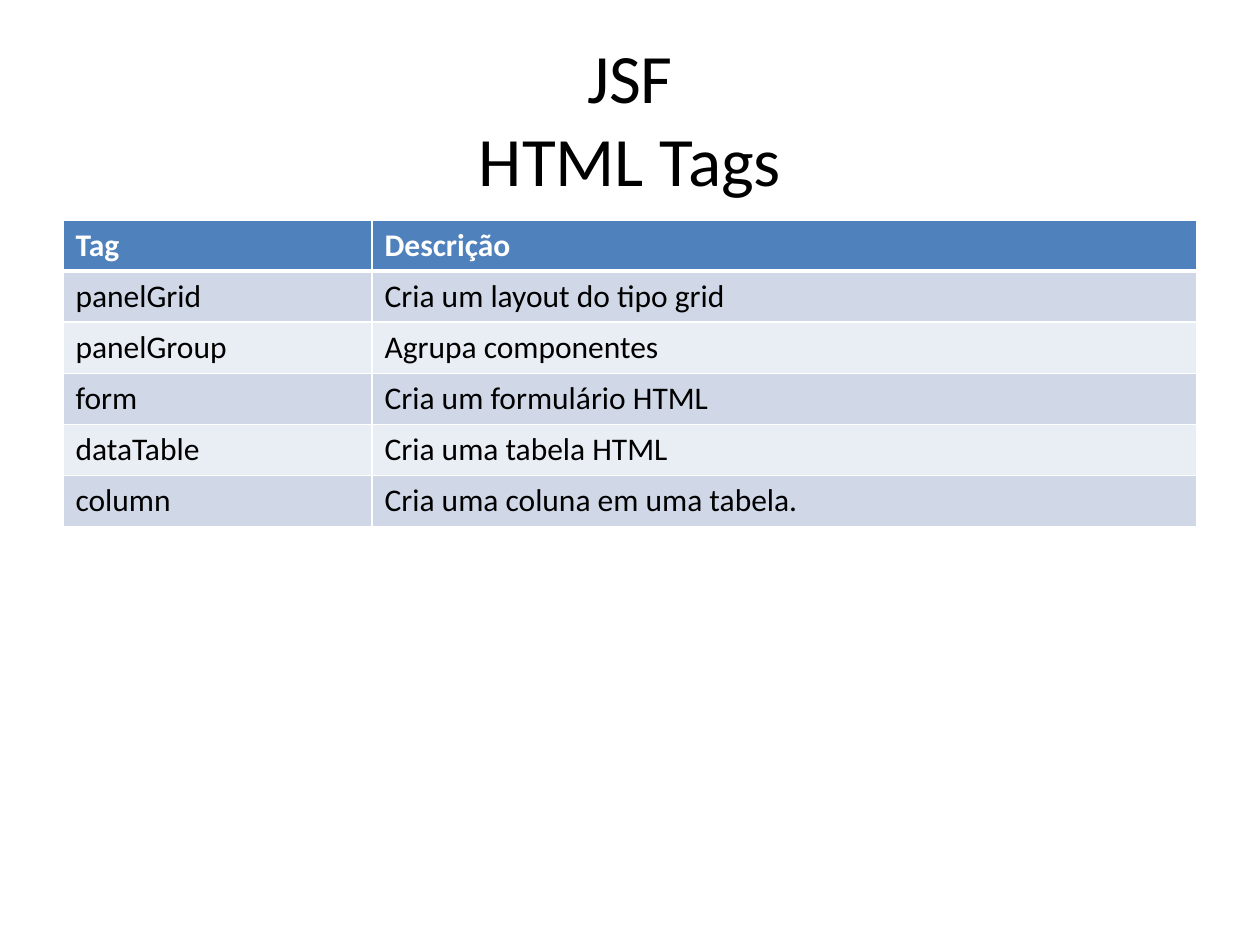
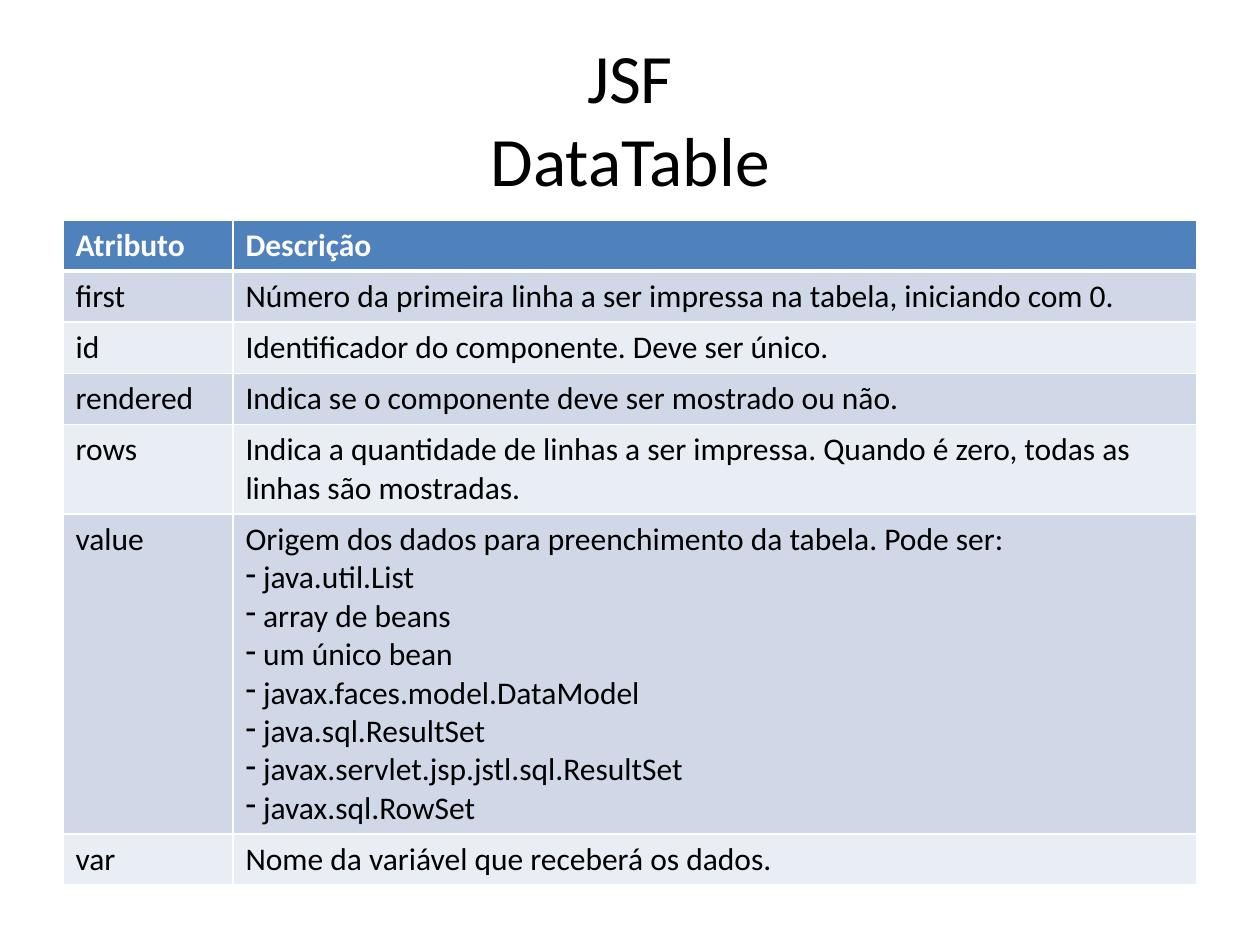
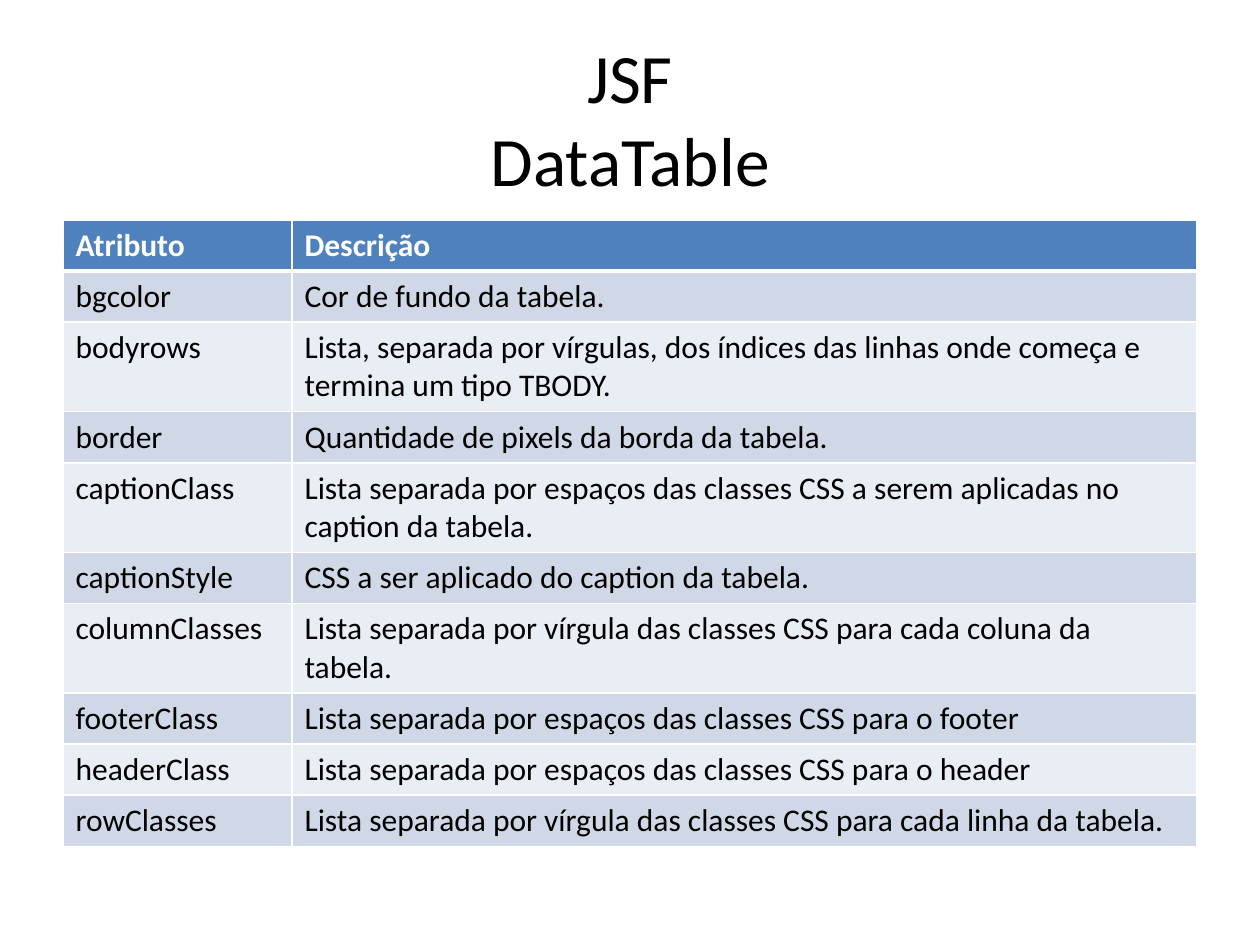
from dataclasses import dataclass

from lxml import etree
from pptx import Presentation
from pptx.dml.color import RGBColor
from pptx.enum.text import MSO_ANCHOR, MSO_AUTO_SIZE, PP_ALIGN
from pptx.oxml.ns import qn
from pptx.util import Emu, Pt

CENTER = PP_ALIGN.CENTER
MIDDLE = MSO_ANCHOR.MIDDLE
NO_AUTOFIT = MSO_AUTO_SIZE.NONE
TITLE_ONLY = 5
PX_PER_INCH = 126


@dataclass(frozen=True)
class Theme:
    font: str = "Calibri"
    title_size: float = 39.6
    body_size: float = 18
    text: str = "000000"
    header_text: str = "FFFFFF"
    header_fill: str = "4F81BD"
    bands: tuple = ("D0D8E8", "E9EDF4")
    border: str = "FFFFFF"
    thin: int = 1
    thick: int = 3


THEME = Theme()

LEFT, WIDTH = 63, 1134
TITLE_TOP, TITLE_HEIGHT = 38, 158
TABLE_TOP, ROW_HEIGHT = 220, 51

TAG_ROWS = [
    ("Tag", "Descrição"),
    ("panelGrid", "Cria um layout do tipo grid"),
    ("panelGroup", "Agrupa componentes"),
    ("form", "Cria um formulário HTML"),
    ("dataTable", "Cria uma tabela HTML"),
    ("column", "Cria uma coluna em uma tabela."),
]

VALUE_SOURCES = [
    "java.util.List",
    "array de beans",
    "um único bean",
    "javax.faces.model.DataModel",
    "java.sql.ResultSet",
    "javax.servlet.jsp.jstl.sql.ResultSet",
    "javax.sql.RowSet",
]

DATA_ROWS = [
    ("Atributo", "Descrição"),
    ("first", "Número da primeira linha a ser impressa na tabela, iniciando com 0."),
    ("id", "Identificador do componente. Deve ser único."),
    ("rendered", "Indica se o componente deve ser mostrado ou não."),
    ("rows", "Indica a quantidade de linhas a ser impressa. "
             "Quando é zero, todas as linhas são mostradas."),
    ("value", "Origem dos dados para preenchimento da tabela. Pode ser:", VALUE_SOURCES),
    ("var", "Nome da variável que receberá os dados."),
]

STYLE_ROWS = [
    ("Atributo", "Descrição"),
    ("bgcolor", "Cor de fundo da tabela."),
    ("bodyrows", "Lista, separada por vírgulas, dos índices das linhas "
                 "onde começa e termina um tipo TBODY."),
    ("border", "Quantidade de pixels da borda da tabela."),
    ("captionClass", "Lista separada por espaços das classes CSS "
                     "a serem aplicadas no caption da tabela."),
    ("captionStyle", "CSS a ser aplicado do caption da tabela."),
    ("columnClasses", "Lista separada por vírgula das classes CSS para cada coluna da tabela."),
    ("footerClass", "Lista separada por espaços das classes CSS para o footer"),
    ("headerClass", "Lista separada por espaços das classes CSS para o header"),
    ("rowClasses", "Lista separada por vírgula das classes CSS para cada linha da tabela."),
]


def px(n):
    return Emu(round(n * 914400 / PX_PER_INCH))


def format_runs(p, size, color, bold=False):
    for r in p.runs:
        r.font.name = THEME.font
        r.font.size = Pt(size)
        r.font.bold = bold
        r.font.color.rgb = RGBColor.from_string(color)


def add_title(s, text):
    title = s.shapes.title
    title.left, title.top = px(LEFT), px(TITLE_TOP)
    title.width, title.height = px(WIDTH), px(TITLE_HEIGHT)
    tf = title.text_frame
    tf.auto_size = NO_AUTOFIT
    tf.vertical_anchor = MIDDLE
    p = tf.paragraphs[0]
    p.text = text
    p.alignment = CENTER
    format_runs(p, THEME.title_size, THEME.text)


def add_dash_item(tf, text):
    p = tf.add_paragraph()
    p.text = " " + text
    pPr = p._p.get_or_add_pPr()
    pPr.set("marL", "0")
    pPr.set("indent", "0")
    etree.SubElement(pPr, qn("a:buFontTx"))
    etree.SubElement(pPr, qn("a:buChar"), char="-")


def set_borders(cell, top, bottom):
    tcPr = cell._tc.get_or_add_tcPr()
    sides = {"L": THEME.thin, "R": THEME.thin, "T": top, "B": bottom}
    for i, (side, width) in enumerate(sides.items()):
        ln = etree.Element(qn("a:ln" + side), w=str(Pt(width)))
        fill = etree.SubElement(ln, qn("a:solidFill"))
        etree.SubElement(fill, qn("a:srgbClr"), val=THEME.border)
        tcPr.insert(i, ln)


def fill_cell(cell, row, text, items=()):
    header = row == 0
    tf = cell.text_frame
    tf.text = text
    for item in items:
        add_dash_item(tf, item)
    for p in tf.paragraphs:
        format_runs(p, THEME.body_size, THEME.header_text if header else THEME.text, header)
    color = THEME.header_fill if header else THEME.bands[(row - 1) % 2]
    cell.fill.solid()
    cell.fill.fore_color.rgb = RGBColor.from_string(color)
    set_borders(cell, THEME.thick if row == 1 else THEME.thin,
                THEME.thick if header else THEME.thin)


def add_description_table(s, rows, name_width):
    frame = s.shapes.add_table(len(rows), 2, px(LEFT), px(TABLE_TOP),
                               px(WIDTH), px(ROW_HEIGHT * len(rows)))
    table = frame.table
    table.columns[0].width = px(name_width)
    table.columns[1].width = px(WIDTH - name_width)
    for i, (name, *description) in enumerate(rows):
        table.rows[i].height = px(ROW_HEIGHT)
        fill_cell(table.cell(i, 0), i, name)
        fill_cell(table.cell(i, 1), i, *description)


def add_table_slide(prs, title, rows, name_width):
    s = prs.slides.add_slide(prs.slide_layouts[TITLE_ONLY])
    add_title(s, title)
    add_description_table(s, rows, name_width)


def main():
    prs = Presentation()
    prs.slide_width, prs.slide_height = px(1260), px(945)
    add_table_slide(prs, "JSF\vHTML Tags", TAG_ROWS, 309)
    add_table_slide(prs, "JSF\vDataTable", DATA_ROWS, 170)
    add_table_slide(prs, "JSF\vDataTable", STYLE_ROWS, 229)
    prs.save("out.pptx")


if __name__ == "__main__":
    main()
